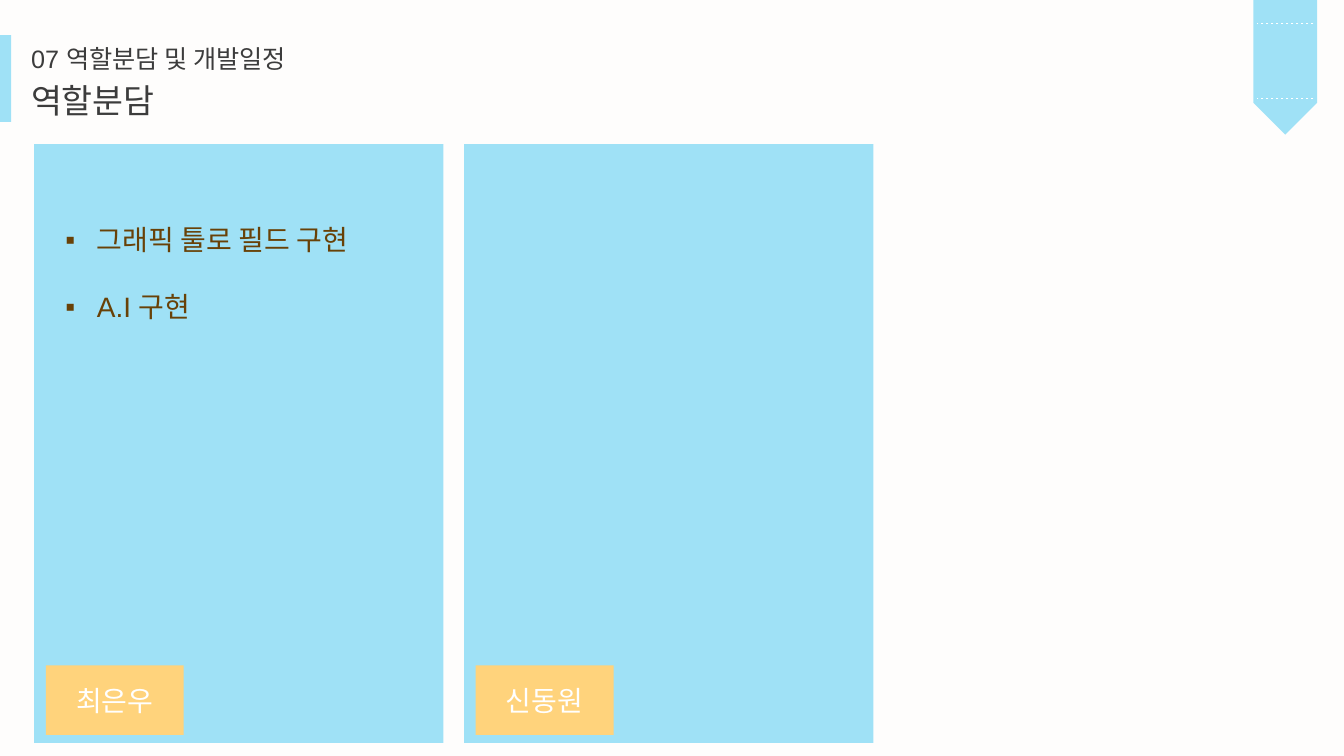
from dataclasses import dataclass

from lxml.etree import SubElement
from pptx import Presentation
from pptx.dml.color import RGBColor
from pptx.enum.dml import MSO_LINE
from pptx.enum.shapes import MSO_CONNECTOR, MSO_SHAPE
from pptx.enum.text import MSO_ANCHOR, MSO_AUTO_SIZE, PP_ALIGN
from pptx.oxml.ns import qn
from pptx.util import Pt

FONT = "Arial"
SKY, AMBER, WHITE = "42C7F1", "FFD37C", "FFFFFF"
PAPER, INK, BROWN = "FEFDFC", "3C3C3C", "684107"


@dataclass
class Box:
    left: float
    top: float
    width: float
    height: float

    def lengths(self) -> list:
        return [Pt(v) for v in (self.left, self.top, self.width, self.height)]


@dataclass
class Heading:
    text: str
    size: float
    box: Box


@dataclass
class Member:
    name: str
    tasks: tuple[str, ...] = ()


HEADINGS = [
    Heading("07 역할분담 및 개발일정", 18, Box(15.1, 27.4, 213.1, 28.8)),
    Heading("역할분담", 24, Box(15.1, 53.3, 111.6, 36)),
]
MEMBERS = [
    Member("최은우", ("그래픽 툴로 필드 구현", "A.I 구현")),
    Member("신동원"),
]
PANEL = Box(24.5, 103, 292.3, 427.7)
PANEL_PITCH = 307.1
BADGE = Box(32.7, 475.2, 98.6, 49.7)
TASKS = Box(39.6, 155.5, 284.4, 154.1)
TASK_INDENT = 22.5
TASK_GAP = 24
RIBBON = Box(869.8, 25.2, 96.5, 45.4)
STITCH_LEFT, STITCH_RIGHT = 897.8, 938.2
STITCH_TOPS = (70.6, 16.6)


def color(hex_code: str) -> RGBColor:
    return RGBColor.from_string(hex_code)


def add_block(slide, box: Box, fill: str, opacity: int = 100,
              preset=MSO_SHAPE.RECTANGLE):
    block = slide.shapes.add_shape(preset, *box.lengths())
    block.shadow.inherit = False
    block.fill.solid()
    block.fill.fore_color.rgb = color(fill)
    block.line.fill.background()
    if opacity < 100:
        srgb = block.fill._xPr.find(qn("a:solidFill")).find(qn("a:srgbClr"))
        SubElement(srgb, qn("a:alpha"), val=str(opacity * 1000))
    return block


def add_words(paragraph, text: str, size: float, ink: str) -> None:
    words = paragraph.add_run()
    words.text = text
    words.font.name = FONT
    words.font.size = Pt(size)
    words.font.color.rgb = color(ink)


def add_heading(slide, heading: Heading) -> None:
    frame = slide.shapes.add_textbox(*heading.box.lengths()).text_frame
    frame.word_wrap = False
    frame.auto_size = MSO_AUTO_SIZE.SHAPE_TO_FIT_TEXT
    add_words(frame.paragraphs[0], heading.text, heading.size, INK)


def add_stitch(slide, top: float) -> None:
    stitch = slide.shapes.add_connector(
        MSO_CONNECTOR.STRAIGHT, Pt(STITCH_RIGHT), Pt(top), Pt(STITCH_LEFT), Pt(top))
    stitch.line.color.rgb = color(WHITE)
    stitch.line.width = Pt(0.5)
    stitch.line.dash_style = MSO_LINE.DASH
    SubElement(stitch._element.spPr, qn("a:effectLst"))


def add_tasks(slide, box: Box, tasks: tuple[str, ...]) -> None:
    frame = slide.shapes.add_textbox(*box.lengths()).text_frame
    frame.word_wrap = True
    for index, task in enumerate(tasks):
        paragraph = frame.add_paragraph() if index else frame.paragraphs[0]
        if index:
            paragraph.space_before = Pt(TASK_GAP)
        properties = paragraph._p.get_or_add_pPr()
        properties.set("marL", str(Pt(TASK_INDENT)))
        properties.set("indent", str(-Pt(TASK_INDENT)))
        SubElement(properties, qn("a:buFont"), typeface=FONT)
        SubElement(properties, qn("a:buChar"), char="▪")
        add_words(paragraph, task, 20, BROWN)


def add_member(slide, member: Member, shift: float) -> None:
    def moved(box: Box) -> Box:
        return Box(box.left + shift, box.top, box.width, box.height)

    add_block(slide, moved(PANEL), SKY, 50)
    frame = add_block(slide, moved(BADGE), AMBER).text_frame
    frame.vertical_anchor = MSO_ANCHOR.MIDDLE
    frame.paragraphs[0].alignment = PP_ALIGN.CENTER
    add_words(frame.paragraphs[0], member.name, 20, WHITE)
    if member.tasks:
        add_tasks(slide, moved(TASKS), member.tasks)


def main() -> None:
    deck = Presentation()
    deck.slide_width, deck.slide_height = Pt(960), Pt(540)
    slide = deck.slides.add_slide(deck.slide_layouts[6])
    slide.background.fill.solid()
    slide.background.fill.fore_color.rgb = color(PAPER)

    # Title with its side tab
    add_block(slide, Box(0, 25.2, 7.9, 61.9), SKY, 50)
    for heading in HEADINGS:
        add_heading(slide, heading)

    # Stitched ribbon pointing down
    ribbon = add_block(slide, RIBBON, SKY, 50, MSO_SHAPE.PENTAGON)
    ribbon.rotation = 90
    for top in STITCH_TOPS:
        add_stitch(slide, top)

    # One panel per team member
    for index, member in enumerate(MEMBERS):
        add_member(slide, member, index * PANEL_PITCH)

    deck.save("out.pptx")


if __name__ == "__main__":
    main()
